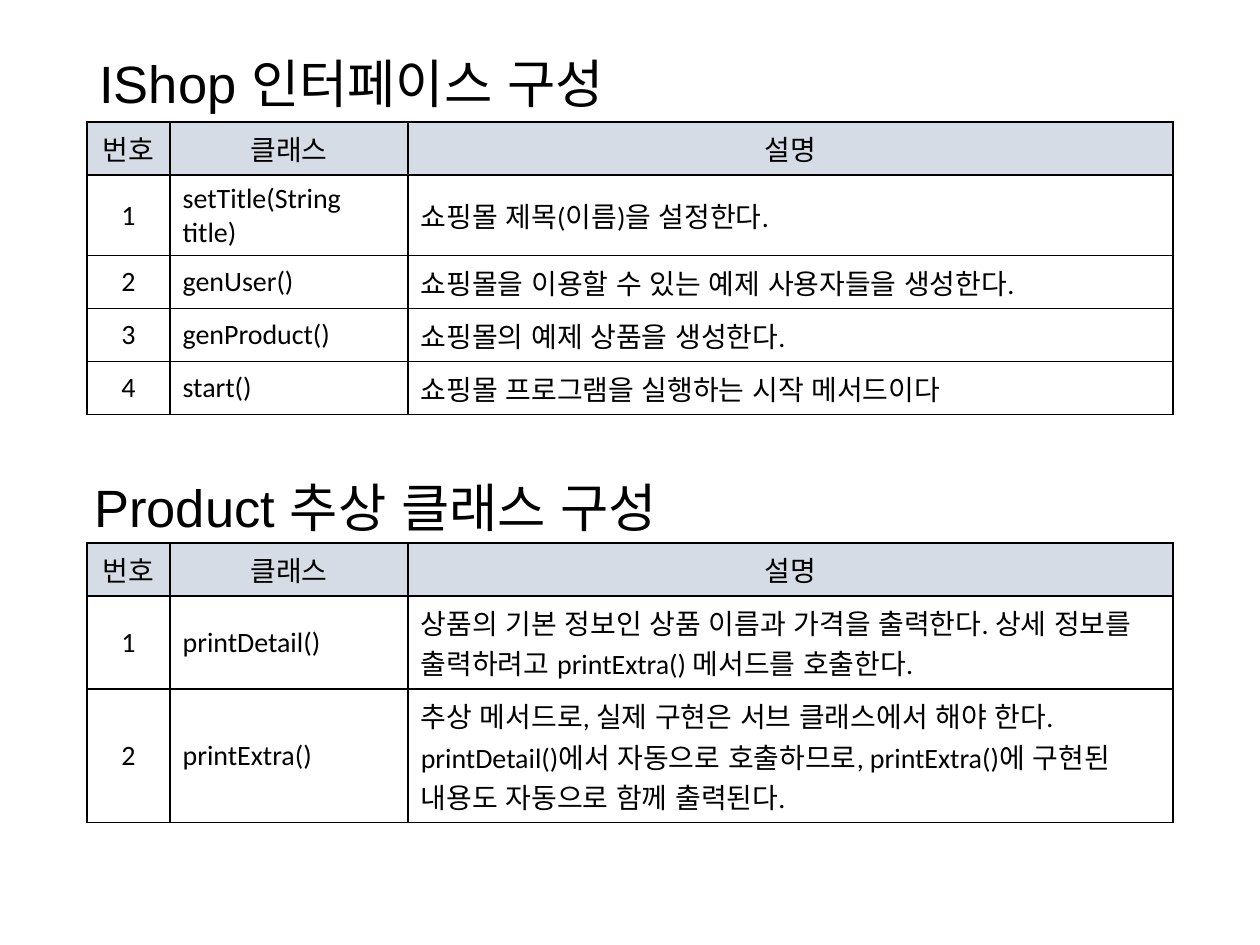
from lxml.etree import SubElement
from pptx import Presentation
from pptx.dml.color import RGBColor
from pptx.enum.lang import MSO_LANGUAGE_ID as Lang
from pptx.enum.text import MSO_ANCHOR as Anchor, PP_ALIGN as Align
from pptx.oxml.ns import qn
from pptx.util import Inches, Pt

BLACK, HEADER_FILL = "000000", "D6DCE5"
COLUMN_WIDTHS = (0.66, 1.89, 6.07)
ROW_HEIGHT = 0.42
HEADER = ("번호", "클래스", "설명")

# Each method: row height, name, description
SHOP_METHODS = [
    (0.64, "setTitle(String title)", "쇼핑몰 제목(이름)을 설정한다."),
    (ROW_HEIGHT, "genUser()", "쇼핑몰을 이용할 수 있는 예제 사용자들을 생성한다."),
    (ROW_HEIGHT, "genProduct()", "쇼핑몰의 예제 상품을 생성한다."),
    (ROW_HEIGHT, "start()", "쇼핑몰 프로그램을 실행하는 시작 메서드이다"),
]
PRODUCT_METHODS = [
    (0.74, "printDetail()", "상품의 기본 정보인 상품 이름과 가격을 출력한다. "
     "상세 정보를 출력하려고 printExtra() 메서드를 호출한다."),
    (1.06, "printExtra()", "추상 메서드로, 실제 구현은 서브 클래스에서 해야 한다. "
     "printDetail()에서 자동으로 호출하므로, "
     "printExtra()에 구현된 내용도 자동으로 함께 출력된다."),
]


def color(value):
    """Turn a hex string into a colour."""
    return RGBColor.from_string(value)


def add_run(p, text, size, font):
    """Add one black Korean run to a paragraph."""
    r = p.add_run()
    r.text = text
    r.font.size = Pt(size)
    r.font.name = font
    r.font.language_id = Lang.KOREAN
    r.font.color.rgb = color(BLACK)


def add_heading(s, text, left, top):
    """Add a section heading."""
    sp = s.shapes.add_textbox(Inches(left), Inches(top), Inches(8.49), Inches(0.57))
    tf = sp.text_frame
    tf.word_wrap = True
    tf.vertical_anchor = Anchor.MIDDLE
    p = tf.paragraphs[0]
    p.line_spacing = 0.9
    add_run(p, text, 30, "Arial")


def set_borders(cell):
    """Draw a thin line on every side of a cell."""
    tc_pr = cell._tc.get_or_add_tcPr()
    for i, side in enumerate(("a:lnL", "a:lnR", "a:lnT", "a:lnB")):
        ln = tc_pr.makeelement(qn(side), {"w": str(Pt(1))})
        fill = SubElement(ln, qn("a:solidFill"))
        SubElement(fill, qn("a:srgbClr"), val=BLACK)
        tc_pr.insert(i, ln)


def fill_cell(cell, text, centered, is_header):
    """Write and style one table cell."""
    cell.vertical_anchor = Anchor.MIDDLE
    if is_header:
        cell.fill.solid()
        cell.fill.fore_color.rgb = color(HEADER_FILL)
    else:
        cell.fill.background()
    set_borders(cell)
    p = cell.text_frame.paragraphs[0]
    p.alignment = Align.CENTER if centered else Align.LEFT
    add_run(p, text, 16, "Calibri")


def add_method_table(s, methods, top):
    """Add a numbered table of methods below a header row."""
    heights = [ROW_HEIGHT] + [height for height, *_ in methods]
    rows = [HEADER] + [(str(n), name, description)
                       for n, (_, name, description) in enumerate(methods, 1)]
    table = s.shapes.add_table(
        len(rows), len(HEADER), Inches(0.69), Inches(top),
        Inches(sum(COLUMN_WIDTHS)), Inches(sum(heights))).table
    table.first_row = table.horz_banding = False
    for column, width in zip(table.columns, COLUMN_WIDTHS):
        column.width = Inches(width)
    for i, (row, height) in enumerate(zip(rows, heights)):
        table.rows[i].height = Inches(height)
        for j, text in enumerate(row):
            fill_cell(table.cell(i, j), text, i == 0 or j == 0, i == 0)


def main():
    """Build the slide and save it."""
    prs = Presentation()
    prs.slide_width, prs.slide_height = Inches(10), Inches(7.5)
    s = prs.slides.add_slide(prs.slide_layouts[6])
    add_heading(s, "IShop 인터페이스 구성", 0.69, 0.4)
    add_method_table(s, SHOP_METHODS, 0.97)
    add_heading(s, "Product 추상 클래스 구성", 0.65, 3.77)
    add_method_table(s, PRODUCT_METHODS, 4.31)
    prs.save("out.pptx")


main()
